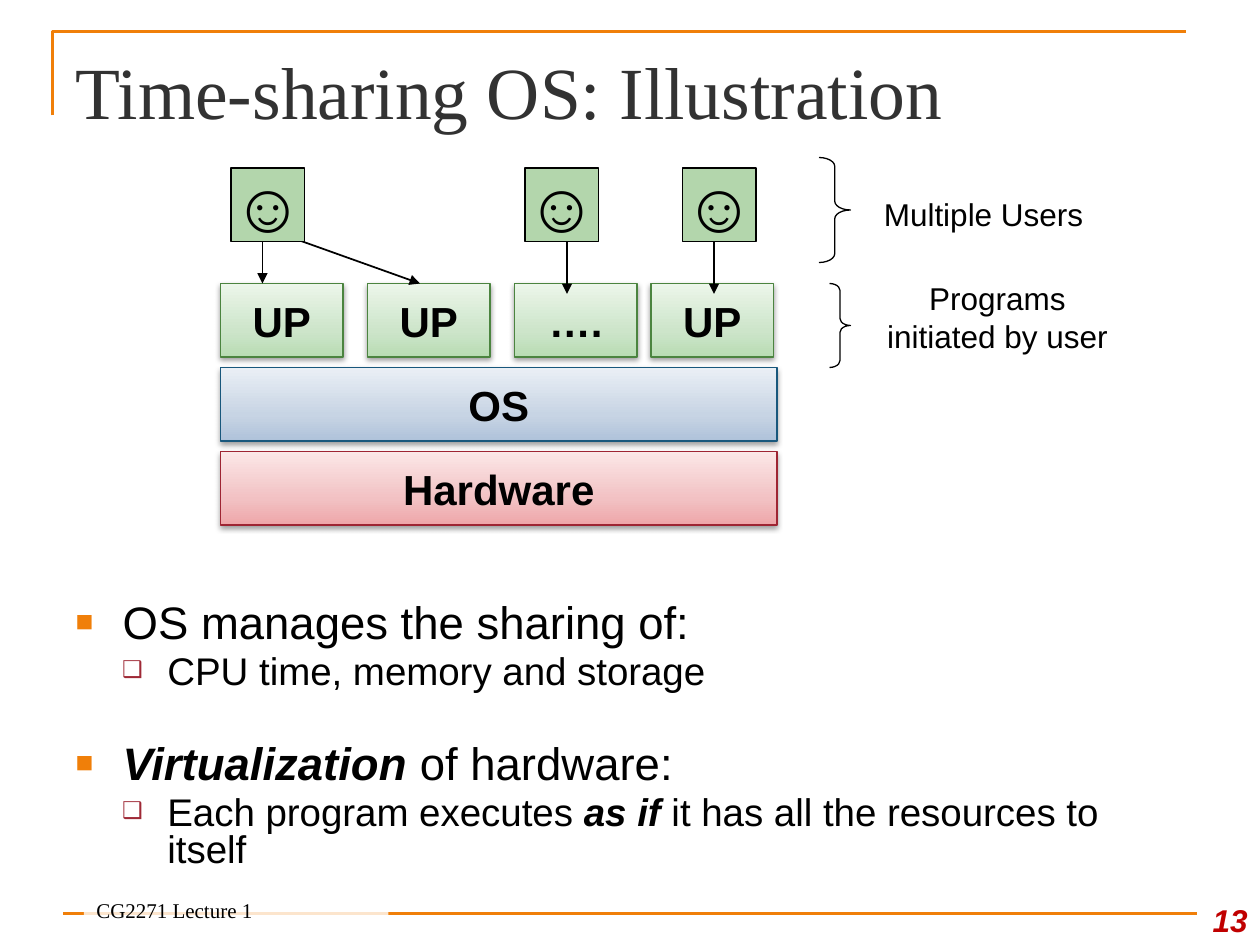
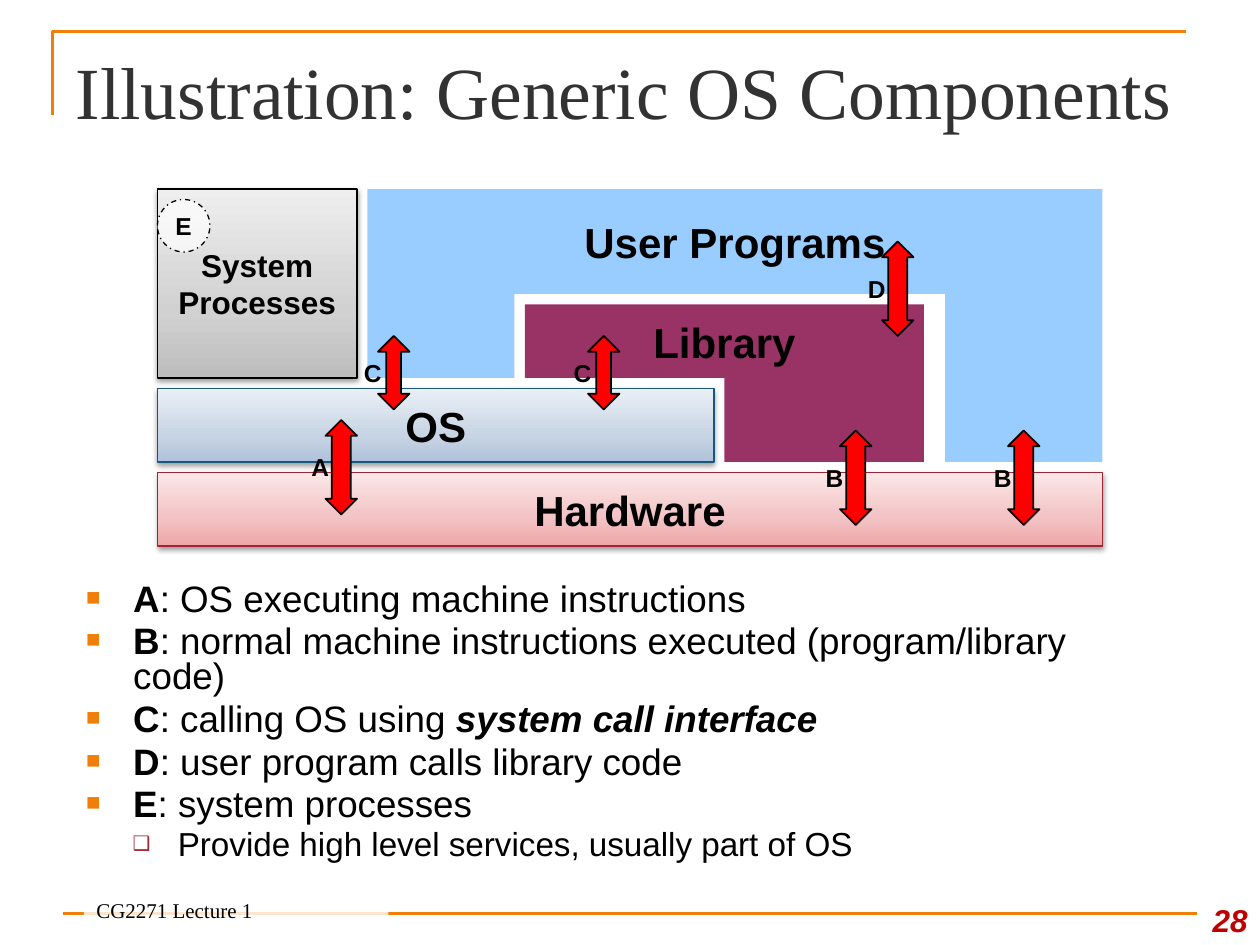
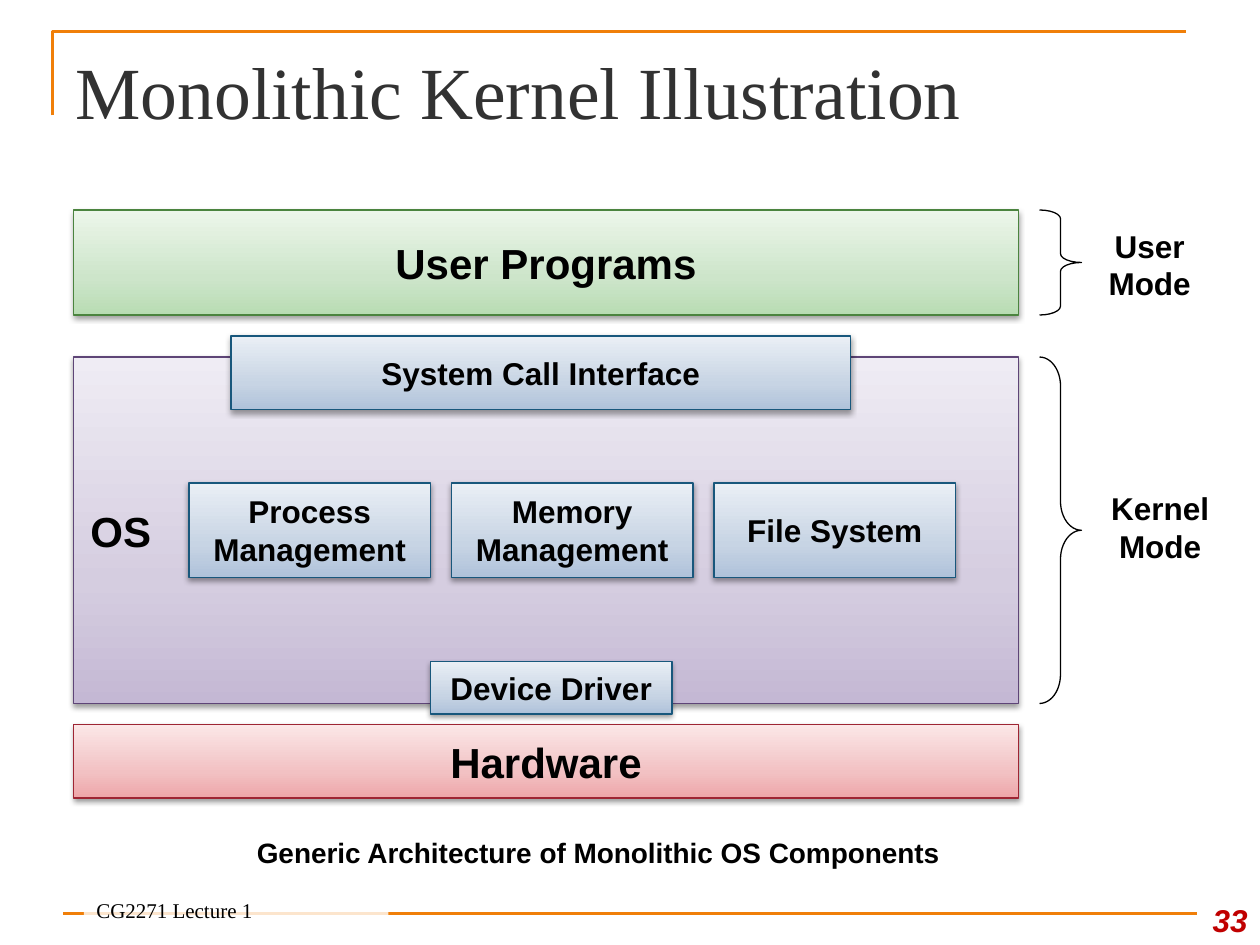
from dataclasses import dataclass

from lxml import etree
from pptx import Presentation
from pptx.dml.color import RGBColor
from pptx.enum.dml import MSO_LINE
from pptx.enum.shapes import MSO_CONNECTOR, MSO_SHAPE
from pptx.enum.text import MSO_ANCHOR, MSO_AUTO_SIZE, PP_ALIGN
from pptx.oxml.ns import qn
from pptx.util import Cm, Pt

RECTANGLE, ELLIPSE = MSO_SHAPE.RECTANGLE, MSO_SHAPE.OVAL
BRACE, DOUBLE_ARROW = MSO_SHAPE.RIGHT_BRACE, MSO_SHAPE.UP_DOWN_ARROW
STRAIGHT = MSO_CONNECTOR.STRAIGHT
DASH_DOT = MSO_LINE.DASH_DOT
LEFT, CENTER, RIGHT = PP_ALIGN.LEFT, PP_ALIGN.CENTER, PP_ALIGN.RIGHT
TOP, MIDDLE, BOTTOM = MSO_ANCHOR.TOP, MSO_ANCHOR.MIDDLE, MSO_ANCHOR.BOTTOM
FIXED_SIZE = MSO_AUTO_SIZE.NONE

SANS, SERIF = "Arial", "Times New Roman"
STEP_CM = 2.54 / 12
LABEL_SIZE = 5

COLORS = {
    "orange": "F07F09",
    "title": "323232",
    "number": "C00000",
    "sub_bullet": "9F2936",
    "black": "000000",
    "white": "FFFFFF",
    "user": "B3D6AC",
    "library": "993366",
    "program": "99CCFF",
    "arrow": "FF0000",
    "red_low": "EEA6A9", "red_mid": "F2C1C3", "red_high": "FBE7E7", "red_line": "9E2533",
    "green_low": "B8DCB3", "green_mid": "CDE5CA", "green_high": "ECF6EA", "green_line": "4B843F",
    "blue_low": "AFC2DA", "blue_mid": "C7D4E4", "blue_high": "EAEFF5", "blue_line": "18577C",
    "grey_low": "BDBDBD", "grey_mid": "D1D1D1", "grey_high": "EEEEEE", "grey_line": "000000",
    "purple_low": "C4B8D4", "purple_mid": "D5CDE0", "purple_high": "EFECF4", "purple_line": "5E4577",
}


@dataclass(frozen=True)
class Area:
    left: float
    top: float
    width: float
    height: float

    def lengths(self) -> list:
        return [steps(n) for n in (self.left, self.top, self.width, self.height)]


@dataclass(frozen=True)
class TextStyle:
    size: float = 24
    bold: bool = True
    italic: bool = False
    font: str = SANS
    color: str = "black"
    align: PP_ALIGN = CENTER
    anchor: MSO_ANCHOR = MIDDLE
    wrap: bool = False


@dataclass(frozen=True)
class Bullet:
    spans: tuple
    size: float
    level: int = 0
    space_before: float | None = None


@dataclass(frozen=True)
class BulletStyle:
    mark: str
    color: str
    percent: int
    margin: Cm
    hanging: Cm


@dataclass(frozen=True)
class Block:
    text: str
    area: Area
    family: str


@dataclass(frozen=True)
class CallArrow:
    letter: str
    left: float
    top: float
    height: float


BULLETS = (
    BulletStyle("■", "orange", 65, Cm(0.95), Cm(0.95)),
    BulletStyle("❑", "sub_bullet", 60, Cm(1.85), Cm(0.91)),
)
BIG = TextStyle()
MEDIUM = TextStyle(size=18, wrap=True)
LETTER = TextStyle(size=14)
FACE = TextStyle(size=40, font=SERIF)
MODE = TextStyle(size=18, anchor=TOP, wrap=True)
NOTE = TextStyle(size=18, bold=False, anchor=TOP, wrap=True)
NOTE_LEFT = TextStyle(size=18, bold=False, align=LEFT, anchor=TOP, wrap=True)
CAPTION = TextStyle(size=16, anchor=TOP, wrap=True)
TITLE = TextStyle(42, False, font=SERIF, color="title", align=LEFT, anchor=BOTTOM, wrap=True)
NUMBER = TextStyle(18, italic=True, color="number", align=RIGHT, anchor=BOTTOM, wrap=True)
FOOTER = TextStyle(12, False, font=SERIF, align=LEFT, anchor=BOTTOM, wrap=True)


def steps(count: float) -> Cm:
    return Cm(count * STEP_CM)


def rgb(name: str) -> RGBColor:
    return RGBColor.from_string(COLORS[name])


def write(shape, text: str, style: TextStyle) -> None:
    frame = shape.text_frame
    frame.auto_size = FIXED_SIZE
    frame.word_wrap = style.wrap
    frame.vertical_anchor = style.anchor
    para = frame.paragraphs[0]
    para.add_run().text = text
    para.alignment = style.align
    para.font.name = style.font
    para.font.size = Pt(style.size)
    para.font.bold = style.bold
    para.font.italic = style.italic
    para.font.color.rgb = rgb(style.color)


def add_form(page, kind: MSO_SHAPE, area: Area, fill: str | None = None, line: str | None = None,
             weight: float = 0.75, opacity: int = 100, adjustments: tuple = ()):
    shape = page.shapes.add_shape(kind, *area.lengths())
    shape.shadow.inherit = False
    for index, value in enumerate(adjustments):
        shape.adjustments[index] = value
    if fill:
        shape.fill.solid()
        shape.fill.fore_color.rgb = rgb(fill)
    else:
        shape.fill.background()
    if opacity < 100:
        color = shape.element.spPr.find(qn("a:solidFill"))[0]
        etree.SubElement(color, qn("a:alpha"), val=str(opacity * 1000))
    if line:
        shape.line.color.rgb = rgb(line)
        shape.line.width = Pt(weight)
    else:
        shape.line.fill.background()
    return shape


def add_block(page, block: Block, style: TextStyle = BIG) -> None:
    shape = add_form(page, RECTANGLE, block.area, line=f"{block.family}_line")
    shape.fill.gradient()
    shape.fill.gradient_angle = 90
    properties = shape.element.spPr
    stops = properties.find(qn("a:gradFill")).find(qn("a:gsLst"))
    stops.clear()
    for position, tone in ((0, "low"), (35, "mid"), (100, "high")):
        stop = etree.SubElement(stops, qn("a:gs"), pos=str(position * 1000))
        etree.SubElement(stop, qn("a:srgbClr"), val=COLORS[f"{block.family}_{tone}"])
    shadow = etree.SubElement(properties.find(qn("a:effectLst")), qn("a:outerShdw"),
                              blurRad=str(Cm(0.11)), dist=str(Cm(0.06)), dir="5400000", rotWithShape="0")
    color = etree.SubElement(shadow, qn("a:srgbClr"), val=COLORS["black"])
    etree.SubElement(color, qn("a:alpha"), val="38000")
    if block.text:
        write(shape, block.text, style)


def add_panel(page, area: Area, fill: str, text: str = "") -> None:
    shape = add_form(page, RECTANGLE, area, fill)
    if text:
        write(shape, text, BIG)


def add_label(page, text: str, area: Area, style: TextStyle) -> None:
    write(page.shapes.add_textbox(*area.lengths()), text, style)


def add_brace(page, area: Area, curve: float) -> None:
    add_form(page, BRACE, area, line="black", adjustments=(curve, 0.5))


def add_line(page, start: tuple, end: tuple, color: str, weight: float, arrow: bool = False):
    line = page.shapes.add_connector(STRAIGHT, *(steps(n) for n in start + end))
    line.line.color.rgb = rgb(color)
    line.line.width = Pt(weight)
    properties = line.element.spPr
    if arrow:
        etree.SubElement(properties.find(qn("a:ln")), qn("a:tailEnd"), type="triangle")
    etree.SubElement(properties, qn("a:effectLst"))
    return line


def add_call_arrow(page, arrow: CallArrow) -> None:
    head = 0.6 if arrow.height == 9 else 0.47
    add_form(page, DOUBLE_ARROW, Area(arrow.left, arrow.top, 3, arrow.height),
             "arrow", "black", 1, adjustments=(0.5, head))
    label_top = arrow.top + (arrow.height - LABEL_SIZE) // 2
    label = add_form(page, ELLIPSE, Area(arrow.left - 3, label_top, LABEL_SIZE, LABEL_SIZE))
    write(label, arrow.letter, LETTER)


def place(shape, area: Area) -> None:
    shape.left, shape.top, shape.width, shape.height = area.lengths()


def fill_body(page, area: Area, bullets: list[Bullet]) -> None:
    body = page.placeholders[1]
    place(body, area)
    frame = body.text_frame
    frame.auto_size = FIXED_SIZE
    frame.vertical_anchor = TOP
    for index, bullet in enumerate(bullets):
        para = frame.add_paragraph() if index else frame.paragraphs[0]
        style = BULLETS[bullet.level]
        para.level = bullet.level
        properties = para._p.get_or_add_pPr()
        properties.set("marL", str(style.margin))
        properties.set("indent", str(-style.hanging))
        color = etree.SubElement(properties, qn("a:buClr"))
        etree.SubElement(color, qn("a:srgbClr"), val=COLORS[style.color])
        etree.SubElement(properties, qn("a:buSzPct"), val=str(style.percent * 1000))
        etree.SubElement(properties, qn("a:buChar"), char=style.mark)
        para.line_spacing = 0.8
        gap = bullet.size * 0.2 if bullet.space_before is None else bullet.space_before
        para.space_before = Pt(gap if index else 0)
        para.font.name = SANS
        para.font.size = Pt(bullet.size)
        para.font.color.rgb = rgb("black")
        for text, emphasis in bullet.spans:
            span = para.add_run()
            span.text = text
            if emphasis:
                span.font.bold = "b" in emphasis
                span.font.italic = "i" in emphasis


def add_page(deck, title: str, number: int, body_area: Area | None = None, bullets: list[Bullet] = ()):
    page = deck.slides.add_slide(deck.slide_layouts[1 if bullets else 5])
    heading = page.shapes.title
    place(heading, Area(6, 3.6, 108, 9.4))
    write(heading, title, TITLE)
    heading.text_frame.margin_bottom = Cm(0.05)
    if bullets:
        fill_body(page, body_area, bullets)
    add_label(page, str(number), Area(113, 84, 7, 6), NUMBER)
    footer = add_form(page, RECTANGLE, Area(8, 85.5, 29, 3), "white", opacity=80)
    write(footer, "CG2271 Lecture 1", FOOTER)
    return page


def add_master_frame(deck, page) -> None:
    builder = page.shapes.build_freeform(steps(5), steps(11))
    builder.add_line_segments([(steps(5), steps(3)), (steps(113), steps(3))], close=False)
    corner = builder.convert_to_shape()
    corner.shadow.inherit = False
    corner.fill.background()
    corner.line.color.rgb = rgb("orange")
    corner.line.width = Pt(1.5)
    rule = add_line(page, (6, 87), (114, 87), "orange", 1.5)
    for shape in (corner, rule):
        deck.slide_master.element.cSld.spTree.append(shape.element)


def build_time_sharing(deck) -> None:
    page = add_page(deck, "Time-sharing OS: Illustration", 13, Area(6, 57, 108, 28), [
        Bullet((("OS manages the sharing of:", ""),), 26),
        Bullet((("CPU time, memory and storage", ""),), 22, 1),
        Bullet((("Virtualization ", "bi"), ("of hardware:", "")), 26, space_before=30),
        Bullet((("Each program executes ", ""), ("as if", "bi"),
                (" it has all the resources to itself", "")), 22, 1),
    ])
    add_master_frame(deck, page)
    add_block(page, Block("Hardware", Area(21, 43, 53, 7), "red"))
    add_block(page, Block("OS", Area(21, 35, 53, 7), "blue"))
    for left, text in ((21, "UP"), (35, "UP"), (49, "…."), (62, "UP")):
        add_block(page, Block(text, Area(left, 27, 11.67, 7), "green"))
    for start, end in (((25, 22), (25, 27)), ((26, 22), (40, 27)),
                       ((54, 23), (54, 28)), ((68, 23), (68, 28))):
        add_line(page, start, end, "black", 1, arrow=True)
    for left in (22, 50, 65):
        user = add_form(page, RECTANGLE, Area(left, 16, 7, 7), "user", "black")
        write(user, "☺", FACE)
    add_brace(page, Area(78, 15, 3, 10), 0.28)
    add_label(page, "Multiple Users", Area(83, 18, 24, 4.8), NOTE_LEFT)
    add_brace(page, Area(79, 27, 2, 8), 0.33)
    add_label(page, "Programs initiated by user", Area(83, 26, 24, 8.4), NOTE)


def build_components(deck) -> None:
    page = add_page(deck, "Illustration: Generic OS Components", 28, Area(7, 55, 105, 29), [
        Bullet((("A", "b"), (": OS executing machine instructions", "")), 21),
        Bullet((("B", "b"), (": normal machine instructions executed (program/library code)", "")), 21),
        Bullet((("C", "b"), (": calling OS using ", ""), ("system call interface", "bi")), 21),
        Bullet((("D", "b"), (": user program calls library code", "")), 21),
        Bullet((("E", "b"), (": system processes", "")), 21),
        Bullet((("Provide high level services, usually part of OS", ""),), 19, 1),
    ])
    add_block(page, Block("Hardware", Area(15, 45, 90, 7), "red"))
    add_block(page, Block("System Processes", Area(15, 18, 19, 18), "grey"), MEDIUM)
    add_block(page, Block("OS", Area(15, 37, 53, 7), "blue"))
    add_panel(page, Area(50, 29, 38, 7), "library", "Library")
    add_panel(page, Area(69, 36, 19, 8), "library")
    add_panel(page, Area(35, 28, 14, 8), "program")
    add_panel(page, Area(35, 18, 70, 10), "program", "User Programs")
    add_panel(page, Area(90, 28, 15, 16), "program")
    for arrow in (CallArrow("A", 31, 40, 9), CallArrow("B", 80, 41, 9), CallArrow("B", 96, 41, 9),
                  CallArrow("C", 56, 32, 7), CallArrow("D", 84, 23, 9), CallArrow("C", 36, 32, 7)):
        add_call_arrow(page, arrow)
    service = add_form(page, ELLIPSE, Area(15, 19, LABEL_SIZE, LABEL_SIZE), "white", "black", opacity=70)
    service.line.dash_style = DASH_DOT
    write(service, "E", LETTER)


def build_monolithic(deck) -> None:
    page = add_page(deck, "Monolithic Kernel Illustration", 33)
    add_block(page, Block("Hardware", Area(7, 69, 90, 7), "red"))
    add_block(page, Block("User Programs", Area(7, 20, 90, 10), "green"))
    add_block(page, Block("", Area(7, 34, 90, 33), "purple"))
    add_label(page, "OS", Area(7, 34, 9, 33), BIG)
    for index, text in enumerate(("Process Management", "Memory Management", "File System")):
        add_block(page, Block(text, Area(18 + 25 * index, 46, 23, 9), "blue"), MEDIUM)
    add_block(page, Block("Device Driver", Area(41, 63, 23, 5), "blue"), MEDIUM)
    add_block(page, Block("System Call Interface", Area(22, 32, 59, 7), "blue"), MEDIUM)
    add_brace(page, Area(99, 34, 4, 33), 0.69)
    add_label(page, "Kernel Mode", Area(104, 46, 13, 8.4), MODE)
    add_brace(page, Area(99, 20, 4, 10), 0.21)
    add_label(page, "User Mode", Area(103, 21, 13, 8.4), MODE)
    add_label(page, "Generic Architecture of Monolithic OS Components", Area(20, 79, 74, 4.4), CAPTION)


def main() -> None:
    deck = Presentation()
    deck.slide_width, deck.slide_height = Cm(25.4), Cm(19.05)
    build_time_sharing(deck)
    build_components(deck)
    build_monolithic(deck)
    deck.save("out.pptx")


if __name__ == "__main__":
    main()
